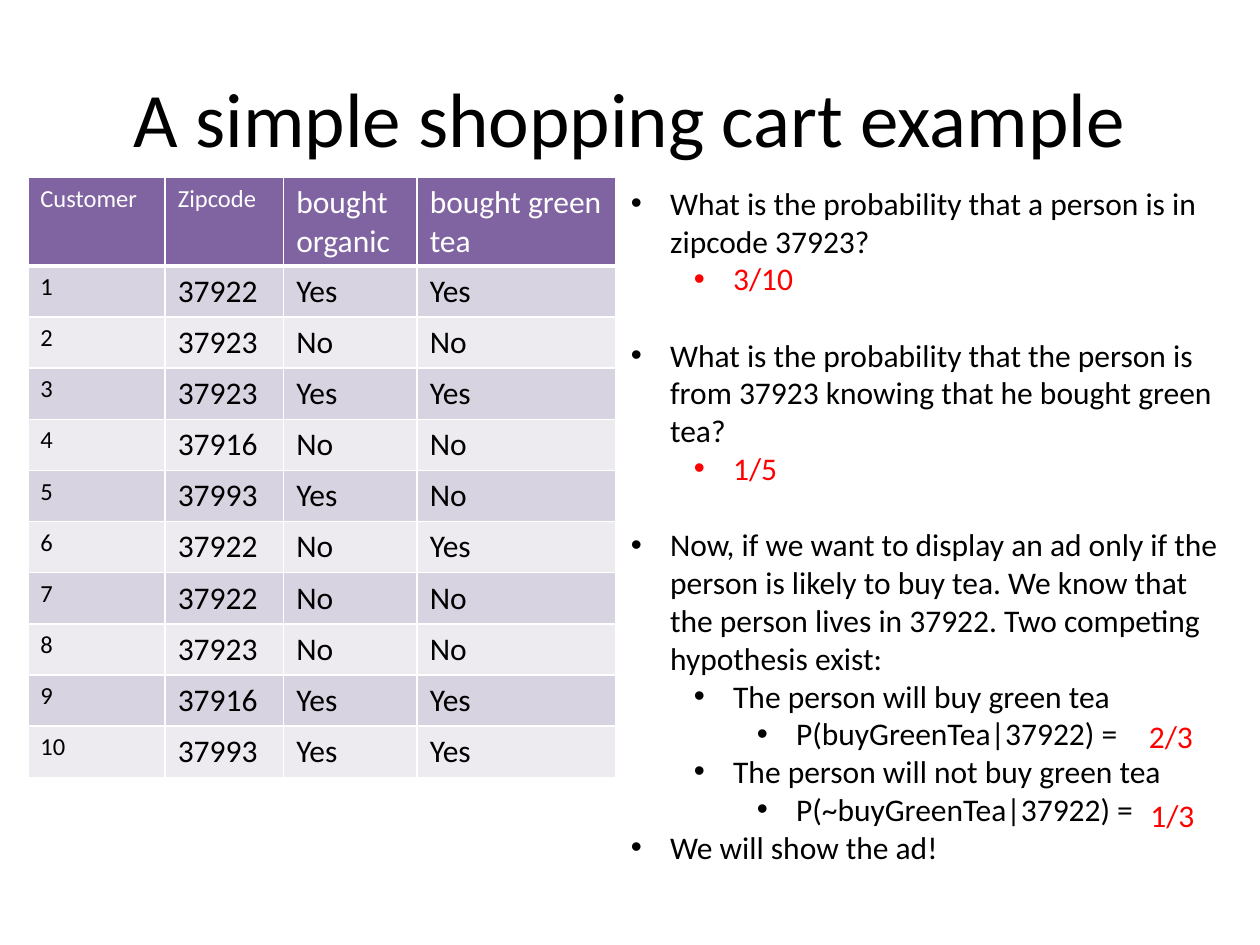
from dataclasses import dataclass

from lxml import etree
from pptx import Presentation
from pptx.dml.color import RGBColor
from pptx.enum import text as txt
from pptx.oxml import ns
from pptx.util import Cm, Pt


@dataclass(frozen=True)
class Theme:
    font: str = "Calibri"
    title: int = 44
    body: int = 18
    small: int = 14
    ink: str = "000000"
    answer: str = "FF0000"
    white: str = "FFFFFF"
    header: str = "8064A2"
    bands: tuple = ("D8D3E0", "EDEAF0")


@dataclass(frozen=True)
class Box:
    """A region of the slide, in centimetres."""
    left: float
    top: float
    width: float
    height: float

    def lengths(self):
        return [Cm(v) for v in (self.left, self.top, self.width, self.height)]


THEME = Theme()

HEADINGS = ("Customer", "Zipcode", "bought organic", "bought green tea")
PURCHASES = (
    ("37922", "Yes", "Yes"),
    ("37923", "No", "No"),
    ("37923", "Yes", "Yes"),
    ("37916", "No", "No"),
    ("37993", "Yes", "No"),
    ("37922", "No", "Yes"),
    ("37922", "No", "No"),
    ("37923", "No", "No"),
    ("37916", "Yes", "Yes"),
    ("37993", "Yes", "Yes"),
)
COLUMN_WIDTHS = (2.77, 2.39, 2.69, 4.01)
HEADER_HEIGHT = 1.78

# Level, wording, colour, points of space before
QUESTIONS = (
    (0, "What is the probability that a person is in zipcode 37923?", THEME.ink, 0),
    (1, "3/10", THEME.answer, 0),
    (0, "What is the probability that the person is from 37923 knowing that "
        "he bought green tea?", THEME.ink, 22),
    (1, "1/5", THEME.answer, 0),
    (0, "Now, if we want to display an ad only if the person is likely to buy tea. "
        "We know that the person lives in 37922. Two competing hypothesis exist:",
     THEME.ink, 22),
    (1, "The person will buy green tea", THEME.ink, 0),
    (2, "P(buyGreenTea|37922) =", THEME.ink, 0),
    (1, "The person will not buy green tea", THEME.ink, 0),
    (2, "P(~buyGreenTea|37922) =", THEME.ink, 0),
    (0, "We will show the ad!", THEME.ink, 0),
)
# Wording, offset from the left and top of the questions
PROBABILITIES = (("2/3", 10.44, 10.75), ("1/3", 10.47, 12.35))


def style(paragraph, size, color):
    font = paragraph.font
    font.name, font.size = THEME.font, Pt(size)
    font.color.rgb = RGBColor.from_string(color)


def add_bullet(paragraph, level, color):
    paragraph.level = level
    props = paragraph._p.get_or_add_pPr()
    props.set("marL", str(Cm(0.79 + 1.27 * level)))
    props.set("indent", str(-Cm(0.79)))
    tint = etree.SubElement(props, ns.qn("a:buClr"))
    etree.SubElement(tint, ns.qn("a:srgbClr"), val=color)
    etree.SubElement(props, ns.qn("a:buFont"), typeface="Arial")
    etree.SubElement(props, ns.qn("a:buChar"), char="•")


def add_border(cell, side, points):
    props = cell._tc.get_or_add_tcPr()
    line = etree.SubElement(props, ns.qn(f"a:ln{side}"), w=str(Pt(points)))
    fill = etree.SubElement(line, ns.qn("a:solidFill"))
    etree.SubElement(fill, ns.qn("a:srgbClr"), val=THEME.white)


def add_title(slide, box):
    frame = slide.shapes.add_textbox(*box.lengths()).text_frame
    frame.word_wrap = True
    frame.vertical_anchor = txt.MSO_ANCHOR.MIDDLE
    heading = frame.paragraphs[0]
    heading.text = "A simple shopping cart example"
    heading.alignment = txt.PP_ALIGN.CENTER
    style(heading, THEME.title, THEME.ink)


def add_purchases(slide, box):
    rows = [HEADINGS] + [(str(n), *row) for n, row in enumerate(PURCHASES, 1)]
    table = slide.shapes.add_table(len(rows), len(HEADINGS), *box.lengths()).table
    for column, width in zip(table.columns, COLUMN_WIDTHS):
        column.width = Cm(width)
    row_height = (box.height - HEADER_HEIGHT) / len(PURCHASES)

    for r, row in enumerate(rows):
        is_header = r == 0
        table.rows[r].height = Cm(HEADER_HEIGHT if is_header else row_height)
        band = THEME.header if is_header else THEME.bands[(r - 1) % 2]
        for c, wording in enumerate(row):
            cell = table.cell(r, c)
            for side in "LRTB":
                add_border(cell, side, 3 if is_header and side == "B" else 1)
            cell.fill.solid()
            cell.fill.fore_color.rgb = RGBColor.from_string(band)
            cell.text = wording
            is_small = c == 0 or (is_header and c == 1)
            style(cell.text_frame.paragraphs[0],
                  THEME.small if is_small else THEME.body,
                  THEME.white if is_header else THEME.ink)


def add_questions(slide, box):
    frame = slide.shapes.add_textbox(*box.lengths()).text_frame
    frame.word_wrap = True
    frame.auto_size = txt.MSO_AUTO_SIZE.SHAPE_TO_FIT_TEXT
    for i, (level, wording, color, space) in enumerate(QUESTIONS):
        line = frame.add_paragraph() if i else frame.paragraphs[0]
        line.text = wording
        add_bullet(line, level, color)
        if space:
            line.space_before = Pt(space)
        style(line, THEME.body, color)

    # Answers beside the two hypotheses
    for wording, dx, dy in PROBABILITIES:
        spot = Box(box.left + dx, box.top + dy, 1.42, 1.02)
        answer = slide.shapes.add_textbox(*spot.lengths()).text_frame
        answer.word_wrap = False
        answer.auto_size = txt.MSO_AUTO_SIZE.SHAPE_TO_FIT_TEXT
        answer.text = wording
        style(answer.paragraphs[0], THEME.body, THEME.answer)


def main():
    deck = Presentation()
    deck.slide_width, deck.slide_height = Cm(25.4), Cm(19.05)
    slide = deck.slides.add_slide(deck.slide_layouts[6])
    add_title(slide, Box(1.27, 0.76, 22.86, 3.18))
    add_purchases(slide, Box(0.56, 3.58, sum(COLUMN_WIDTHS), 12.09))
    add_questions(slide, Box(12.47, 3.58, 12.42, 14.1))
    deck.save("out.pptx")


if __name__ == "__main__":
    main()
